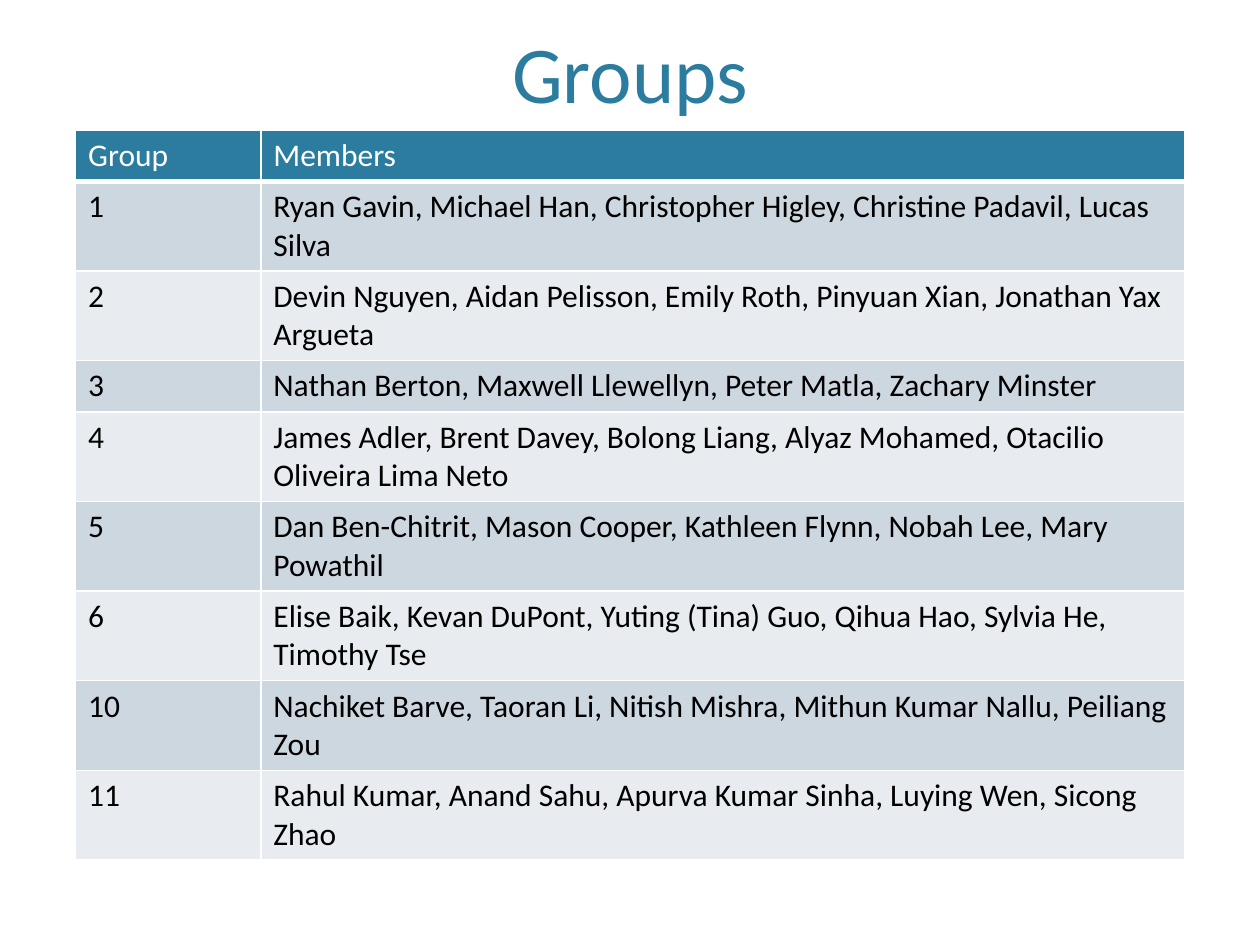
"""Build a slide with a table of project groups and their members."""
import dataclasses

import lxml.etree
import pptx
import pptx.dml.color
import pptx.enum.text
import pptx.oxml.ns
import pptx.slide
import pptx.table
import pptx.util

TEAL = pptx.dml.color.RGBColor(0x2C, 0x7C, 0x9F)
WHITE = pptx.dml.color.RGBColor(0xFF, 0xFF, 0xFF)
BLACK = pptx.dml.color.RGBColor(0x00, 0x00, 0x00)
DARK_BAND = pptx.dml.color.RGBColor(0xCD, 0xD7, 0xDF)
LIGHT_BAND = pptx.dml.color.RGBColor(0xE8, 0xEC, 0xF0)
FONT = "Calibri"
LEFT, WIDTH = 0.6, 8.8
TABLE_TOP = 1.03
COLUMN_WIDTHS = (1.47, 7.33)
ROW_HEIGHT = 0.41


@dataclasses.dataclass(frozen=True)
class Group:
    number: str
    members: str


GROUPS = (
    Group("1", "Ryan Gavin, Michael Han, Christopher Higley, Christine Padavil, Lucas Silva"),
    Group("2", "Devin Nguyen, Aidan Pelisson, Emily Roth, Pinyuan Xian, Jonathan Yax Argueta"),
    Group("3", "Nathan Berton, Maxwell Llewellyn, Peter Matla, Zachary Minster"),
    Group("4", "James Adler, Brent Davey, Bolong Liang, Alyaz Mohamed, Otacilio Oliveira Lima Neto"),
    Group("5", "Dan Ben-Chitrit, Mason Cooper, Kathleen Flynn, Nobah Lee, Mary Powathil"),
    Group("6", "Elise Baik, Kevan DuPont, Yuting (Tina) Guo, Qihua Hao, Sylvia He, Timothy Tse"),
    Group("10", "Nachiket Barve, Taoran Li, Nitish Mishra, Mithun Kumar Nallu, Peiliang Zou"),
    Group("11", "Rahul Kumar, Anand Sahu, Apurva Kumar Sinha, Luying Wen, Sicong Zhao"),
)


def add_run(paragraph, text: str, size: float, color: pptx.dml.color.RGBColor) -> None:
    run = paragraph.add_run()
    run.text = text
    run.font.name = FONT
    run.font.size = pptx.util.Pt(size)
    run.font.bold = False
    run.font.color.rgb = color


def add_title(slide: pptx.slide.Slide, text: str) -> None:
    title = slide.shapes.title
    title.left, title.top = pptx.util.Inches(LEFT), pptx.util.Inches(0)
    title.width, title.height = pptx.util.Inches(WIDTH), pptx.util.Inches(1)
    title.text_frame.vertical_anchor = pptx.enum.text.MSO_ANCHOR.BOTTOM
    paragraph = title.text_frame.paragraphs[0]
    paragraph.alignment = pptx.enum.text.PP_ALIGN.CENTER
    add_run(paragraph, text, 46, TEAL)


def add_borders(cell: pptx.table._Cell, bottom_width: float) -> None:
    properties = cell._tc.get_or_add_tcPr()
    for side, width in (("L", 1), ("R", 1), ("T", 1), ("B", bottom_width)):
        line = lxml.etree.SubElement(
            properties, pptx.oxml.ns.qn(f"a:ln{side}"), w=str(pptx.util.Pt(width))
        )
        fill = lxml.etree.SubElement(line, pptx.oxml.ns.qn("a:solidFill"))
        lxml.etree.SubElement(fill, pptx.oxml.ns.qn("a:srgbClr"), val=str(WHITE))


def fill_row(
    row: pptx.table._Row,
    group: Group,
    fill: pptx.dml.color.RGBColor,
    color: pptx.dml.color.RGBColor,
    bottom_width: float = 1,
) -> None:
    row.height = pptx.util.Inches(ROW_HEIGHT)
    for cell, text in zip(row.cells, (group.number, group.members)):
        add_borders(cell, bottom_width)
        cell.fill.solid()
        cell.fill.fore_color.rgb = fill
        add_run(cell.text_frame.paragraphs[0], text, 18, color)


def add_group_table(slide: pptx.slide.Slide) -> None:
    row_count = len(GROUPS) + 1
    table = slide.shapes.add_table(
        row_count,
        len(COLUMN_WIDTHS),
        pptx.util.Inches(LEFT),
        pptx.util.Inches(TABLE_TOP),
        pptx.util.Inches(WIDTH),
        pptx.util.Inches(ROW_HEIGHT * row_count),
    ).table
    for column, width in zip(table.columns, COLUMN_WIDTHS):
        column.width = pptx.util.Inches(width)
    fill_row(table.rows[0], Group("Group", "Members"), TEAL, WHITE, bottom_width=3)
    for index, group in enumerate(GROUPS):
        band = LIGHT_BAND if index % 2 else DARK_BAND
        fill_row(table.rows[index + 1], group, band, BLACK)


def main() -> None:
    presentation = pptx.Presentation()
    presentation.slide_width = pptx.util.Inches(10)
    presentation.slide_height = pptx.util.Inches(7.5)
    slide = presentation.slides.add_slide(presentation.slide_layouts[5])
    add_title(slide, "Groups")
    add_group_table(slide)
    presentation.save("out.pptx")


if __name__ == "__main__":
    main()
